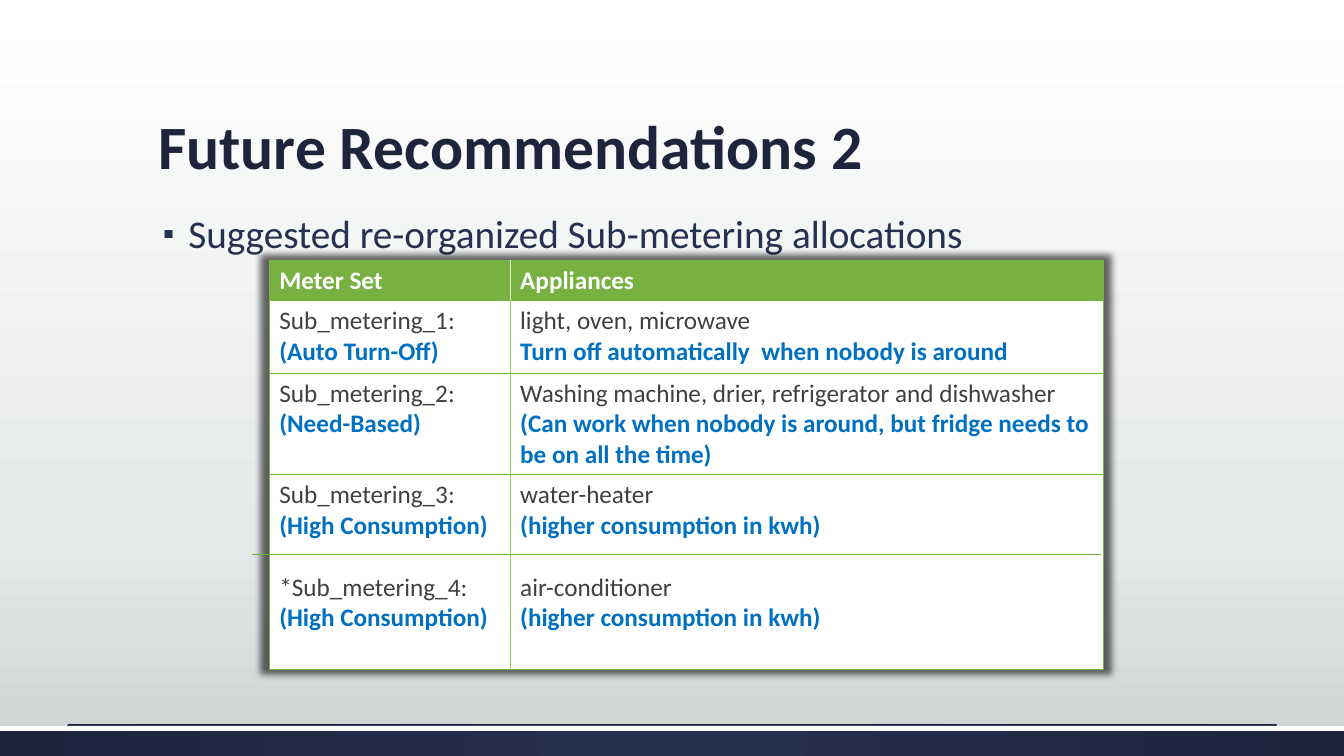
import pptx
import pptx.dml.color
import pptx.enum.shapes
import pptx.enum.text
import pptx.oxml
import pptx.oxml.ns
import pptx.util
from pptx.util import Inches

RGBColor = pptx.dml.color.RGBColor
qn = pptx.oxml.ns.qn
NS = pptx.oxml.ns.nsdecls("a")

FONT = "Calibri"
WHITE = RGBColor(0xFF, 0xFF, 0xFF)
SILVER = RGBColor(0xE5, 0xE8, 0xE8)
GREY = RGBColor(0xCD, 0xD2, 0xD2)
NAVY = RGBColor(0x26, 0x30, 0x50)
DARK_NAVY = RGBColor(0x1D, 0x24, 0x3C)
GREEN = RGBColor(0x77, 0xB1, 0x42)
LIME = RGBColor(0x92, 0xD0, 0x50)
PALE_GREEN = RGBColor(0xE4, 0xF0, 0xD8)
TEXT = RGBColor(0x40, 0x40, 0x40)
BLUE = RGBColor(0x00, 0x70, 0xC0)

LINEAR_DOWN = f'<a:lin {NS} ang="5400000" scaled="0"/>'
FROM_CENTER = (f'<a:path {NS} path="circle">'
               '<a:fillToRect l="50000" t="50000" r="50000" b="50000"/></a:path>')

COLUMN_WIDTHS = [2.39, 5.88]
ROW_HEIGHTS = [0.4, 0.72, 1.01, 1.93]
HEADER = ["Meter Set", "Appliances"]
# Each cell holds pairs of a plain line and a highlighted line.
ROWS = [
    [[("Sub_metering_1:", "(Auto Turn-Off)")],
     [("light, oven, microwave", "Turn off automatically  when nobody is around")]],
    [[("Sub_metering_2:", "(Need-Based)")],
     [("Washing machine, drier, refrigerator and dishwasher",
       "(Can work when nobody is around, but fridge needs to be on all the time)")]],
    [[("Sub_metering_3:", "(High Consumption)"),
      ("*Sub_metering_4:", "(High Consumption)")],
     [("water-heater", "(higher consumption in kwh)"),
      ("air-conditioner", "(higher consumption in kwh)")]],
]


def set_gradient(fill, element, stops, direction):
    """Fill with (percent, colour) stops; element is the XML that owns the fill."""
    fill.gradient()
    grad = element.find(".//" + qn("a:gradFill"))
    for child in list(grad):
        grad.remove(child)
    gs = "".join(f'<a:gs pos="{pos * 1000}"><a:srgbClr val="{color}"/></a:gs>'
                 for pos, color in stops)
    grad.append(pptx.oxml.parse_xml(f"<a:gsLst {NS}>{gs}</a:gsLst>"))
    grad.append(pptx.oxml.parse_xml(direction))


def add_run(p, text, size, color, bold=False):
    r = p.add_run()
    r.text = text
    r.font.color.rgb = color
    formats = {"name": FONT, "size": pptx.util.Pt(size), "bold": bold}
    for name, value in formats.items():
        setattr(r.font, name, value)


def add_bar(s, top, height):
    sp = s.shapes.add_shape(pptx.enum.shapes.MSO_SHAPE.RECTANGLE,
                            0, Inches(top), Inches(13.33), Inches(height))
    sp.shadow.inherit = False
    sp.line.fill.background()
    return sp


def add_rule(s, left, right, y, color):
    line = s.shapes.add_connector(pptx.enum.shapes.MSO_CONNECTOR.STRAIGHT,
                                  Inches(left), Inches(y), Inches(right), Inches(y))
    line.line.color.rgb = color
    line.line.width = pptx.util.Pt(0.5)
    line._element.spPr.append(pptx.oxml.parse_xml(f"<a:effectLst {NS}/>"))


def set_title(s, text):
    sp = s.shapes.title
    box = {"left": 1.47, "top": 0.51, "width": 10.4, "height": 1.35}
    for name, value in box.items():
        setattr(sp, name, Inches(value))
    tf = sp.text_frame
    tf.vertical_anchor = pptx.enum.text.MSO_ANCHOR.BOTTOM
    p = tf.paragraphs[0]
    p.alignment = pptx.enum.text.PP_ALIGN.LEFT
    p.line_spacing = 0.9
    add_run(p, text, 44, DARK_NAVY, True)


def add_bullet(s, text):
    sp = s.shapes.add_textbox(Inches(1.47), Inches(2.08), Inches(10.4), Inches(0.5))
    sp.text_frame.word_wrap = True
    p = sp.text_frame.paragraphs[0]
    p.line_spacing = 0.9
    add_run(p, text, 28, NAVY)
    pPr = p._p.get_or_add_pPr()
    pPr.set("marL", str(Inches(0.3)))
    pPr.set("indent", str(Inches(-0.25)))
    for xml in (f'<a:buClr {NS}><a:srgbClr val="{NAVY}"/></a:buClr>',
                f'<a:buSzPct {NS} val="80000"/>',
                f'<a:buFont {NS} typeface="{FONT}"/>',
                f'<a:buChar {NS} char="▪"/>'):
        pPr.append(pptx.oxml.parse_xml(xml))


def set_borders(cell, inner_side, inner_color):
    """Draw thin green edges, with a thicker one between the columns."""
    tcPr = cell._tc.get_or_add_tcPr()
    for i, side in enumerate("LRTB"):
        color, width = (inner_color, 1) if side == inner_side else (GREEN, 0.5)
        tcPr.insert(i, pptx.oxml.parse_xml(
            f'<a:ln{side} {NS} w="{pptx.util.Pt(width)}"><a:solidFill>'
            f'<a:srgbClr val="{color}"/></a:solidFill></a:ln{side}>'))


def fill_cell(cell, pairs):
    tf = cell.text_frame
    for i, (plain, highlight) in enumerate(pairs):
        p = tf.add_paragraph() if i else tf.paragraphs[0]
        if i:
            p.space_before = pptx.util.Pt(22)
        add_run(p, plain, 18, TEXT)
        add_run(tf.add_paragraph(), highlight, 18, BLUE, True)


def add_meter_table(s):
    table = s.shapes.add_table(len(ROW_HEIGHTS), len(COLUMN_WIDTHS),
                               Inches(2.67), Inches(2.58),
                               Inches(sum(COLUMN_WIDTHS)),
                               Inches(sum(ROW_HEIGHTS))).table
    table.horz_banding = False
    table._tbl.tblPr.insert(0, pptx.oxml.parse_xml(
        f'<a:effectLst {NS}><a:outerShdw blurRad="63500" sx="102000" sy="102000" '
        'algn="ctr" rotWithShape="0"><a:srgbClr val="000000"><a:alpha val="60000"/>'
        '</a:srgbClr></a:outerShdw></a:effectLst>'))
    for column, width in zip(table.columns, COLUMN_WIDTHS):
        column.width = Inches(width)
    for row, height in zip(table.rows, ROW_HEIGHTS):
        row.height = Inches(height)
    for i, row in enumerate([HEADER] + ROWS):
        for j, content in enumerate(row):
            cell = table.cell(i, j)
            cell.fill.solid()
            cell.fill.fore_color.rgb = WHITE if i else GREEN
            set_borders(cell, "RL"[j], LIME if i else PALE_GREEN)
            if i:
                fill_cell(cell, content)
            else:
                add_run(cell.text_frame.paragraphs[0], content, 18, WHITE, True)


def main():
    prs = pptx.Presentation()
    prs.slide_width, prs.slide_height = Inches(13.33), Inches(7.5)
    s = prs.slides.add_slide(prs.slide_layouts[5])
    set_gradient(s.background.fill, s.element,
                 [(0, WHITE), (72, SILVER), (100, GREY)], LINEAR_DOWN)

    footer = add_bar(s, 7.2, 0.3)
    set_gradient(footer.fill, footer._element,
                 [(0, NAVY), (100, DARK_NAVY)], FROM_CENTER)
    edge = add_bar(s, 7.2, 0.05)
    edge.fill.solid()
    edge.fill.fore_color.rgb = WHITE
    add_rule(s, 0.67, 12.67, 7.19, DARK_NAVY)

    set_title(s, "Future Recommendations 2")
    add_bullet(s, "Suggested re-organized Sub-metering allocations")
    add_meter_table(s)
    add_rule(s, 2.5, 10.92, 5.5, GREEN)
    prs.save("out.pptx")


if __name__ == "__main__":
    main()
